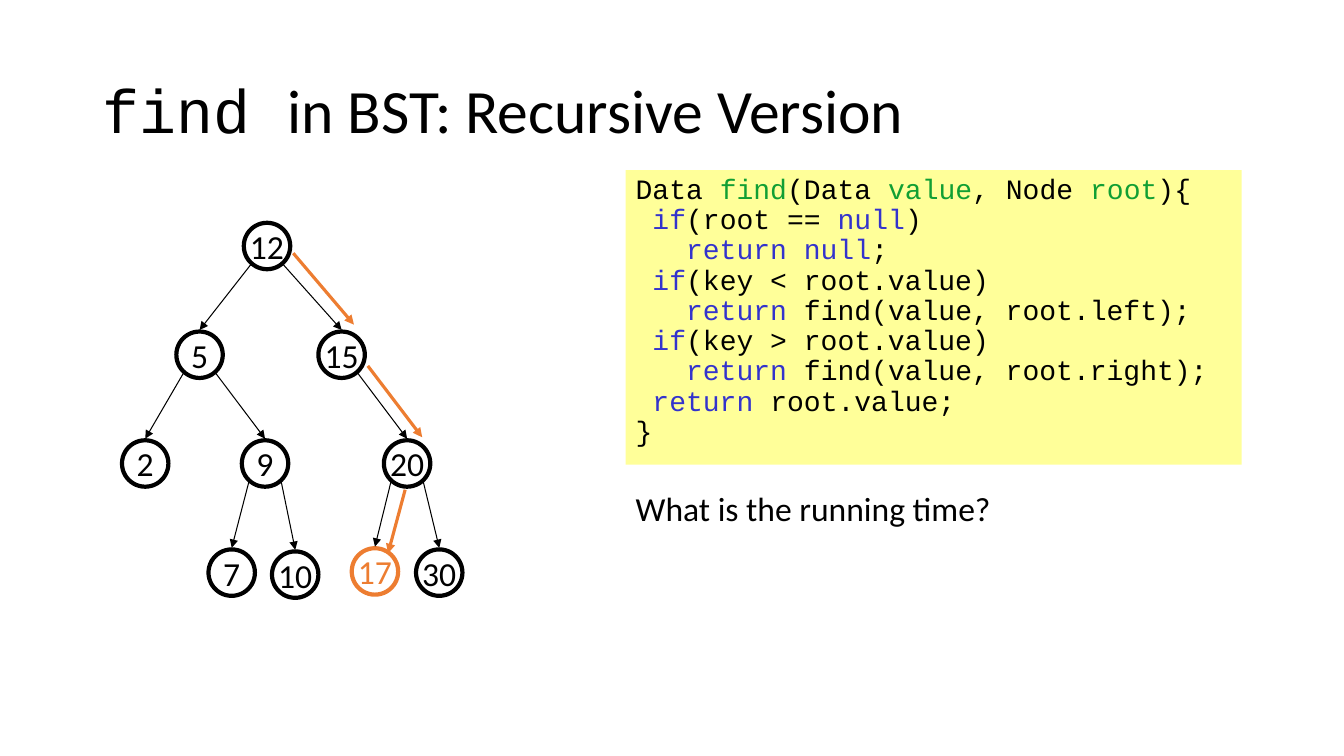
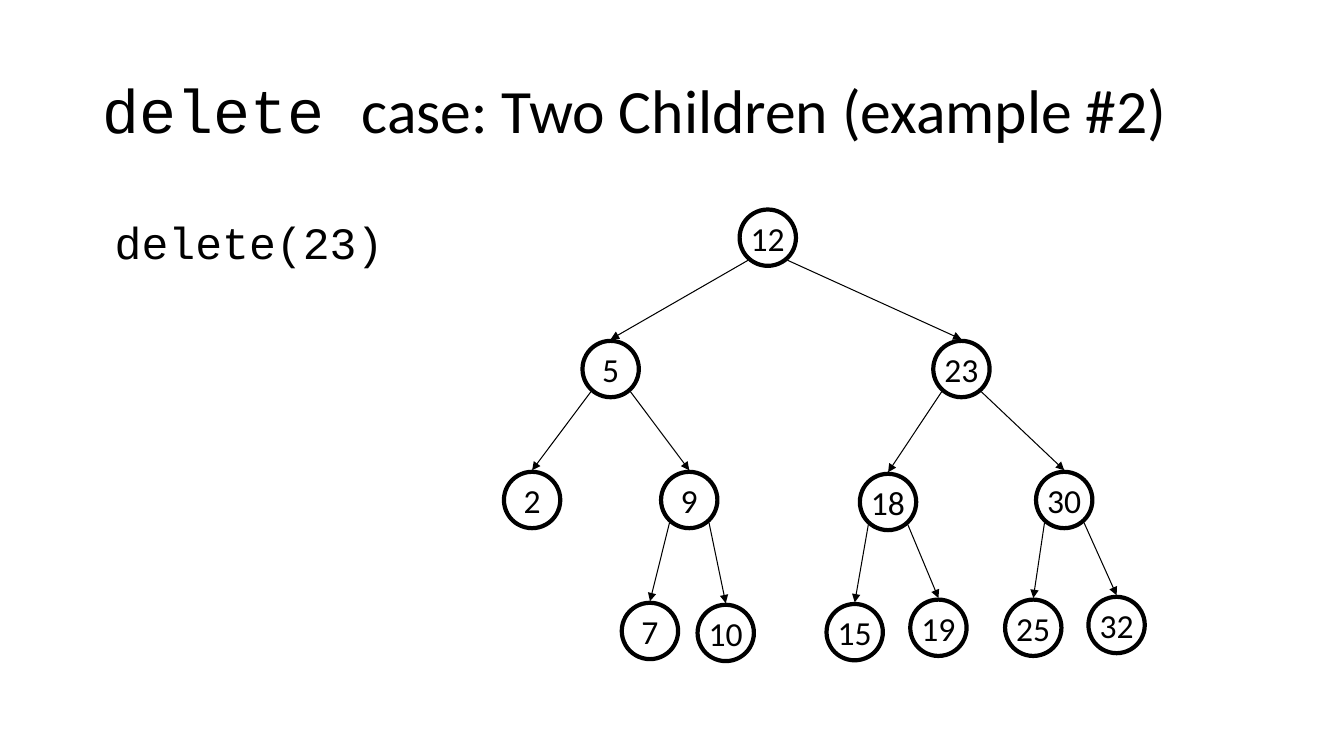
"""Build two slides on finding and deleting in a binary search tree."""
from pptx import Presentation
from pptx import util as u
from pptx.dml.color import RGBColor
from pptx.enum import shapes, text
from pptx.oxml import ns, xmlchemy

BLACK = RGBColor(0x00, 0x00, 0x00)
ORANGE = RGBColor(0xED, 0x7D, 0x31)
YELLOW = RGBColor(0xFF, 0xFF, 0x99)
GREEN = RGBColor(0x11, 0x9F, 0x33)
BLUE = RGBColor(0x33, 0x33, 0xCC)
SANS, MONO = "Calibri", "Courier New"


def add_run(p, words, size, font=SANS, color=BLACK):
    r = p.add_run()
    r.text = words
    r.font.size = u.Pt(size)
    r.font.name = font
    r.font.color.rgb = color


def add_arrow(s, x1, y1, x2, y2, color=BLACK, width=0.75):
    line = s.shapes.add_connector(
        shapes.MSO_CONNECTOR.STRAIGHT, u.Cm(x1), u.Cm(y1), u.Cm(x2), u.Cm(y2))
    line.line.color.rgb = color
    line.line.width = u.Pt(width)
    tail = xmlchemy.OxmlElement("a:tailEnd")
    tail.set("type", "triangle")
    line.line._get_or_add_ln().append(tail)
    line._element.find(ns.qn("p:spPr")).append(xmlchemy.OxmlElement("a:effectLst"))


FIND_TREE = {
    12: (6.73, 6.2, None),
    5: (5.03, 8.94, 12), 15: (8.61, 8.94, 12),
    2: (3.66, 11.68, 5), 9: (6.68, 11.68, 5), 20: (10.26, 11.68, 15),
    7: (5.84, 14.43, 9), 10: (7.44, 14.48, 9),
    17: (9.45, 14.4, 20), 30: (11.07, 14.43, 20),
}
DELETE_TREE = {
    12: (19.35, 5.99, None),
    5: (15.39, 9.3, 12), 23: (24.23, 9.3, 12),
    2: (13.41, 12.6, 5), 9: (17.37, 12.6, 5),
    18: (22.38, 12.65, 23), 30: (26.82, 12.6, 23),
    7: (16.38, 15.9, 9), 10: (18.29, 15.95, 9),
    15: (21.54, 15.93, 18), 19: (23.65, 15.82, 18),
    25: (26.04, 15.82, 30), 32: (28.14, 15.75, 30),
}
SLIDES = [
    ("find ", "in BST: Recursive Version", FIND_TREE, 1.17, 17),
    ("delete ", "case: Two Children (example #2)", DELETE_TREE, 1.42, None),
]
SEARCH_STEPS = [
    (7.39, 6.38, 8.92, 8.18),
    (9.27, 9.22, 10.64, 11.02),
    (10.21, 12.34, 9.78, 13.94),
]
CODE = [
    [("Data ", BLACK), ("find", GREEN), ("(Data ", BLACK), ("value", GREEN),
     (", Node ", BLACK), ("root", GREEN), ("){", BLACK)],
    [(" if", BLUE), ("(root == ", BLACK), ("null", BLUE), (")", BLACK)],
    [("   return null", BLUE), (";", BLACK)],
    [(" if", BLUE), ("(key < root.value)", BLACK)],
    [("   return ", BLUE), ("find(value, root.left);", BLACK)],
    [(" if", BLUE), ("(key > root.value)", BLACK)],
    [("   return ", BLUE), ("find(value, root.right);", BLACK)],
    [(" return ", BLUE), ("root.value;", BLACK)],
    [("}", BLACK)],
]

prs = Presentation()
prs.slide_width, prs.slide_height = u.Cm(33.87), u.Cm(19.05)

for command, topic, tree, size, found in SLIDES:
    s = prs.slides.add_slide(prs.slide_layouts[5])
    title = s.shapes.title
    title.left, title.top = u.Cm(2.33), u.Cm(1.01)
    title.width, title.height = u.Cm(29.21), u.Cm(3.68)
    tf = title.text_frame
    tf.auto_size = text.MSO_AUTO_SIZE.NONE
    tf.vertical_anchor = text.MSO_ANCHOR.MIDDLE
    p = tf.paragraphs[0]
    p.alignment = text.PP_ALIGN.LEFT
    p.line_spacing = 0.9
    add_run(p, command, 44, MONO)
    add_run(p, topic, 44)

    for value, (x, y, parent) in tree.items():
        color = ORANGE if value == found else BLACK
        sp = s.shapes.add_shape(
            shapes.MSO_SHAPE.OVAL, u.Cm(x - size / 2), u.Cm(y - size / 2),
            u.Cm(size), u.Cm(size))
        sp.shadow.inherit = False
        sp.fill.background()
        sp.line.color.rgb = color
        sp.line.width = u.Pt(3)
        tf = sp.text_frame
        tf.word_wrap = False
        tf.vertical_anchor = text.MSO_ANCHOR.MIDDLE
        p = tf.paragraphs[0]
        p.alignment = text.PP_ALIGN.CENTER
        add_run(p, str(value), 24, color=color)
        if parent is not None:
            px, py, _ = tree[parent]
            side = -1 if value < parent else 1
            add_arrow(s, px + side * 0.35 * size, py + 0.4 * size,
                      x, y - size / 2 - 0.04)

find_slide, delete_slide = prs.slides

for step in SEARCH_STEPS:
    add_arrow(find_slide, *step, ORANGE, 2.25)

sp = find_slide.shapes.add_shape(
    shapes.MSO_SHAPE.RECTANGLE, u.Cm(15.77), u.Cm(4.29), u.Cm(15.52), u.Cm(7.42))
sp.shadow.inherit = False
sp.fill.solid()
sp.fill.fore_color.rgb = YELLOW
sp.line.fill.background()
tf = sp.text_frame
tf.vertical_anchor = text.MSO_ANCHOR.TOP
for i, code_line in enumerate(CODE):
    p = tf.add_paragraph() if i else tf.paragraphs[0]
    p.alignment = text.PP_ALIGN.LEFT
    p.line_spacing = 0.9
    for words, color in code_line:
        add_run(p, words, 20, MONO, color)

question = find_slide.shapes.add_textbox(
    u.Cm(15.77), u.Cm(12.29), u.Cm(15.77), u.Cm(2.08))
tf = question.text_frame
tf.word_wrap = True
p = tf.paragraphs[0]
p.line_spacing = 0.9
p.space_before = u.Pt(10)
add_run(p, "What is the running time?", 24)

call = delete_slide.shapes.add_textbox(
    u.Cm(2.64), u.Cm(5.28), u.Cm(7.37), u.Cm(1.63))
tf = call.text_frame
tf.word_wrap = False
add_run(tf.paragraphs[0], "delete(23)", 32, MONO)

prs.save("out.pptx")
